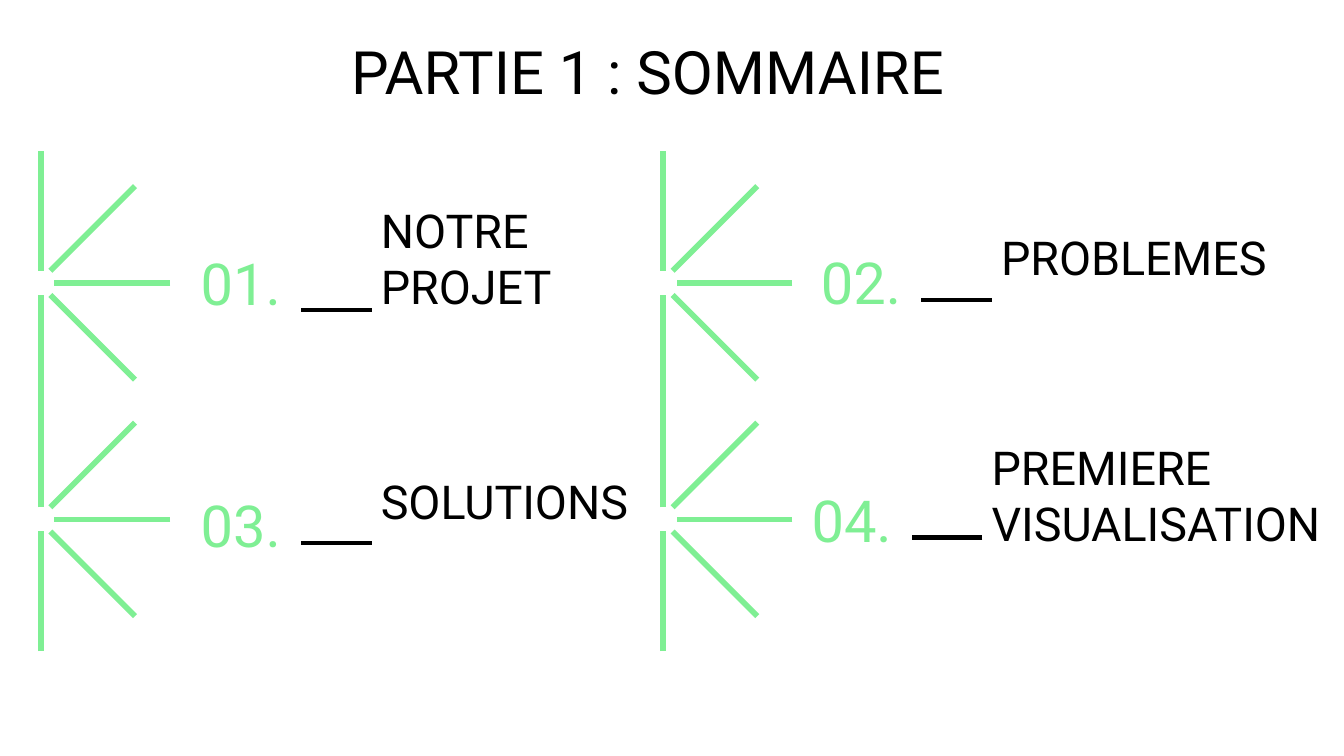
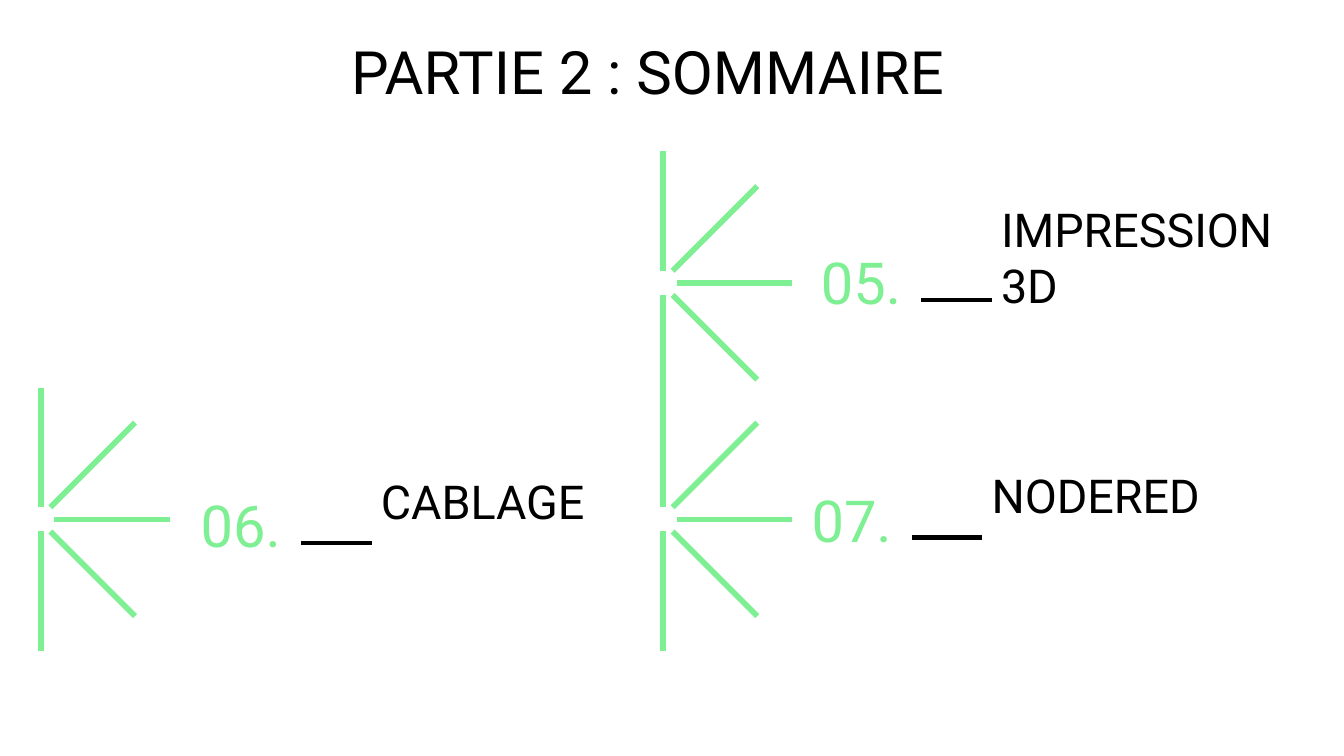
from dataclasses import dataclass

from lxml import etree
from pptx import Presentation
from pptx.dml.color import RGBColor
from pptx.enum.shapes import MSO_CONNECTOR as Connector
from pptx.enum.text import MSO_ANCHOR as Anchor, PP_ALIGN as Align
from pptx.oxml.ns import qn
from pptx.util import Emu, Pt

# Shared style: 200 px to the inch
PX = 4572
FONT = "Roboto"
BLACK = RGBColor(0x00, 0x00, 0x00)
GREEN = RGBColor(0x7F, 0xEF, 0x94)
PAGE_WIDTH, PAGE_HEIGHT = 2000, 1125
TEXT_INSET = 20
LABEL_HEIGHT = 206

# Rays of a burst, relative to its centre: x1, y1, x2, y2
RAYS = (
    (0, 196, 0, 18),
    (0, -18, 0, -196),
    (140, 144, 14, 18),
    (192, 0, 20, 0),
    (140, -144, 14, -18),
)


@dataclass(frozen=True)
class Slot:
    """A place in the two-by-two grid of summary entries."""
    burst_x: int
    burst_y: int
    label_x: int
    label_y: int
    dash_drop: int = 166


@dataclass(frozen=True)
class Entry:
    slot: Slot
    number: str
    label: str
    label_width: int
    anchor: Anchor = Anchor.MIDDLE


@dataclass(frozen=True)
class Summary:
    title: str
    entries: tuple[Entry, ...]


LEFT, RIGHT = 61, 987
UPPER, LOWER = 421, 773
TOP_LEFT = Slot(LEFT, UPPER, 547, 281, dash_drop=180)
TOP_RIGHT = Slot(RIGHT, UPPER, 1470, 280)
BOTTOM_LEFT = Slot(LEFT, LOWER, 547, 642)
BOTTOM_RIGHT = Slot(RIGHT, LOWER, 1456, 634)

SUMMARIES = (
    Summary("PARTIE 1 : SOMMAIRE", (
        Entry(TOP_LEFT, "01.", "NOTRE PROJET", 418, Anchor.BOTTOM),
        Entry(TOP_RIGHT, "02.", "PROBLEMES", 448),
        Entry(BOTTOM_LEFT, "03.", "SOLUTIONS", 436),
        Entry(BOTTOM_RIGHT, "04.", "PREMIERE VISUALISATION", 572),
    )),
    Summary("PARTIE 2 : SOMMAIRE", (
        Entry(TOP_RIGHT, "05.", "IMPRESSION 3D", 468),
        Entry(BOTTOM_LEFT, "06.", "CABLAGE", 436),
        Entry(BOTTOM_RIGHT, "07.", "NODERED", 572),
    )),
)


def px(length: int) -> Emu:
    return Emu(length * PX)


def add_text(page, x: int, y: int, width: int, height: int, text: str,
             size: int, color: RGBColor, anchor: Anchor = Anchor.MIDDLE,
             align: Align = Align.LEFT) -> None:
    box = page.shapes.add_textbox(px(x), px(y), px(width), px(height))
    frame = box.text_frame
    frame.word_wrap = True
    frame.vertical_anchor = anchor
    frame.margin_left = frame.margin_right = px(TEXT_INSET)
    frame.margin_top = frame.margin_bottom = px(TEXT_INSET)
    para = frame.paragraphs[0]
    para.alignment = align
    span = para.add_run()
    span.text = text
    span.font.name = FONT
    span.font.size = Pt(size)
    span.font.color.rgb = color


def add_line(shapes, x1: int, y1: int, x2: int, y2: int,
             color: RGBColor, weight: float) -> None:
    line = shapes.add_connector(Connector.STRAIGHT, px(x1), px(y1), px(x2), px(y2))
    line.line.color.rgb = color
    line.line.width = Pt(weight)
    etree.SubElement(line._element.spPr, qn("a:effectLst"))


def add_burst(page, slot: Slot) -> None:
    burst = page.shapes.add_group_shape()
    for x1, y1, x2, y2 in RAYS:
        add_line(burst.shapes, slot.burst_x + x1, slot.burst_y + y1,
                 slot.burst_x + x2, slot.burst_y + y2, GREEN, 3)


def add_entry(page, entry: Entry) -> None:
    slot = entry.slot
    add_text(page, slot.label_x, slot.label_y, entry.label_width, LABEL_HEIGHT,
             entry.label, 25, BLACK, entry.anchor)
    add_text(page, slot.label_x - 268, slot.label_y + 74, 174, 130,
             entry.number, 31, GREEN)
    dash_y = slot.label_y + slot.dash_drop
    add_line(page.shapes, slot.label_x + 6, dash_y, slot.label_x - 99, dash_y,
             BLACK, 2.25)
    add_burst(page, slot)


def add_summary(deck, summary: Summary) -> None:
    page = deck.slides.add_slide(deck.slide_layouts[6])
    add_text(page, 121, 42, 1686, 126, summary.title, 32, BLACK, align=Align.CENTER)
    for entry in summary.entries:
        add_entry(page, entry)


def main() -> None:
    deck = Presentation()
    deck.slide_width = px(PAGE_WIDTH)
    deck.slide_height = px(PAGE_HEIGHT)
    for summary in SUMMARIES:
        add_summary(deck, summary)
    deck.save("out.pptx")


if __name__ == "__main__":
    main()
